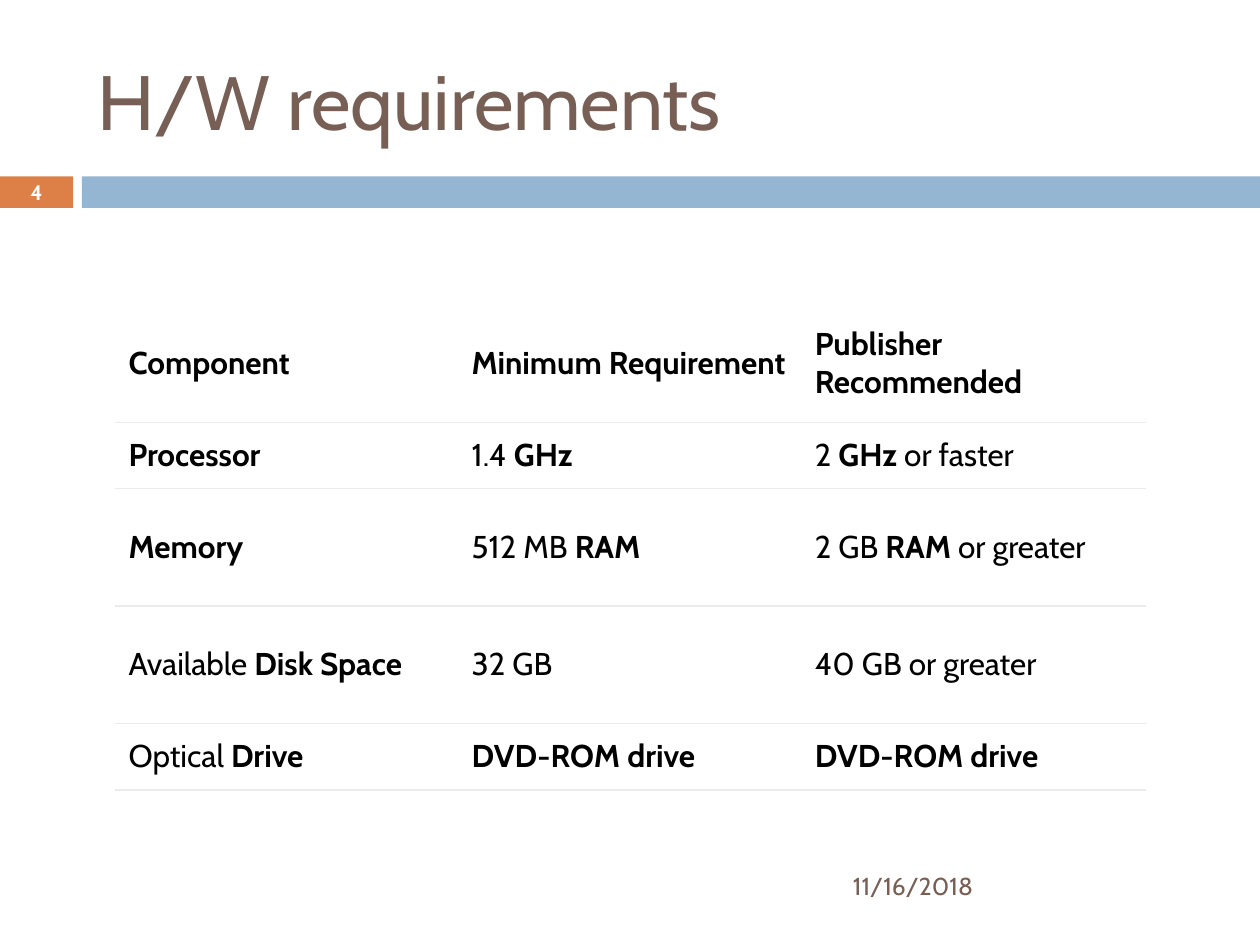
"""Build the hardware requirements slide."""
from dataclasses import dataclass

from lxml import etree
from pptx import Presentation
from pptx.dml.color import RGBColor
from pptx.enum.shapes import MSO_SHAPE
from pptx.enum.text import MSO_ANCHOR, PP_ALIGN
from pptx.oxml import parse_xml
from pptx.oxml.ns import nsdecls
from pptx.util import Inches, Pt

RECTANGLE = MSO_SHAPE.RECTANGLE
MIDDLE = MSO_ANCHOR.MIDDLE
LEFT, CENTER = PP_ALIGN.LEFT, PP_ALIGN.CENTER


@dataclass(frozen=True)
class Theme:
    font: str = "Cabin"
    brown: str = "775F55"
    orange: str = "DD8047"
    blue: str = "94B6D2"
    white: str = "FFFFFF"
    black: str = "000000"
    rule: str = "EBEBEB"
    title_size: float = 44
    table_size: float = 18
    date_size: float = 14
    number_size: float = 12


theme = Theme()


def write(frame, text, size, color, align=LEFT):
    """Fill a text frame; parts between double asterisks are bold."""
    frame.word_wrap = True
    frame.vertical_anchor = MIDDLE
    para = frame.paragraphs[0]
    para.alignment = align
    for index, part in enumerate(text.split("**")):
        if part:
            span = para.add_run()
            span.text = part
            span.font.name = theme.font
            span.font.size = Pt(size)
            span.font.bold = index % 2 == 1
            span.font.color.rgb = RGBColor.from_string(color)


def add_border(cell, tag, position):
    """Add a thin rule to one side of a cell."""
    line = parse_xml(f'<a:{tag} {nsdecls("a")} w="{Pt(0.75)}"/>')
    fill = etree.SubElement(line, line.tag.replace(tag, "solidFill"))
    etree.SubElement(fill, line.tag.replace(tag, "srgbClr"), val=theme.rule)
    cell._tc.get_or_add_tcPr().insert(position, line)


deck = Presentation()
deck.slide_width, deck.slide_height = Inches(10), Inches(7.5)
page = deck.slides.add_slide(deck.slide_layouts[5])

for left, width, color in [(0, 0.58, theme.orange), (0.65, 9.35, theme.blue)]:
    band = page.shapes.add_shape(
        RECTANGLE, Inches(left), Inches(1.4), Inches(width), Inches(0.25))
    band.shadow.inherit = False
    band.fill.solid()
    band.fill.fore_color.rgb = RGBColor.from_string(color)
    band.line.fill.background()

title = page.shapes.title
title.left, title.top = Inches(0.67), Inches(0.25)
title.width, title.height = Inches(8.92), Inches(1.08)
write(title.text_frame, "H/W requirements", theme.title_size, theme.brown)

date_box = page.shapes.add_textbox(
    Inches(6.67), Inches(6.83), Inches(2.92), Inches(0.4))
write(date_box.text_frame, "11/16/2018", theme.date_size, theme.brown)

number_box = page.shapes.add_textbox(
    Inches(0), Inches(1.39), Inches(0.58), Inches(0.27))
write(number_box.text_frame, "**4**", theme.number_size, theme.white, align=CENTER)

requirements = [
    ("**Component**", "**Minimum Requirement**", "**Publisher Recommended**"),
    ("**Processor**", "1.4\u00a0**GHz**", "2\u00a0**GHz**\u00a0or faster"),
    ("**Memory**", "512 MB\u00a0**RAM**", "2 GB\u00a0**RAM**\u00a0or greater"),
    ("Available\u00a0**Disk Space**", "32 GB", "40 GB or greater"),
    ("Optical\u00a0**Drive**", "**DVD-ROM drive**", "**DVD-ROM drive**"),
]
row_heights = [0.93, 0.53, 0.93, 0.93, 0.53]

table = page.shapes.add_table(
    len(requirements), 3, Inches(0.92), Inches(2.42),
    Inches(8.17), Inches(sum(row_heights))).table
table.first_row = table.horz_banding = False
for row, height in zip(table.rows, row_heights):
    row.height = Inches(height)

for row_index, texts in enumerate(requirements):
    for column_index, text in enumerate(texts):
        cell = table.cell(row_index, column_index)
        cell.vertical_anchor = MIDDLE
        cell.fill.solid()
        cell.fill.fore_color.rgb = RGBColor.from_string(theme.white)
        write(cell.text_frame, text, theme.table_size, theme.black)
        sides = ["lnT", "lnB"] if row_index else ["lnB"]
        for position, side in enumerate(sides):
            add_border(cell, side, position)

deck.save("out.pptx")
